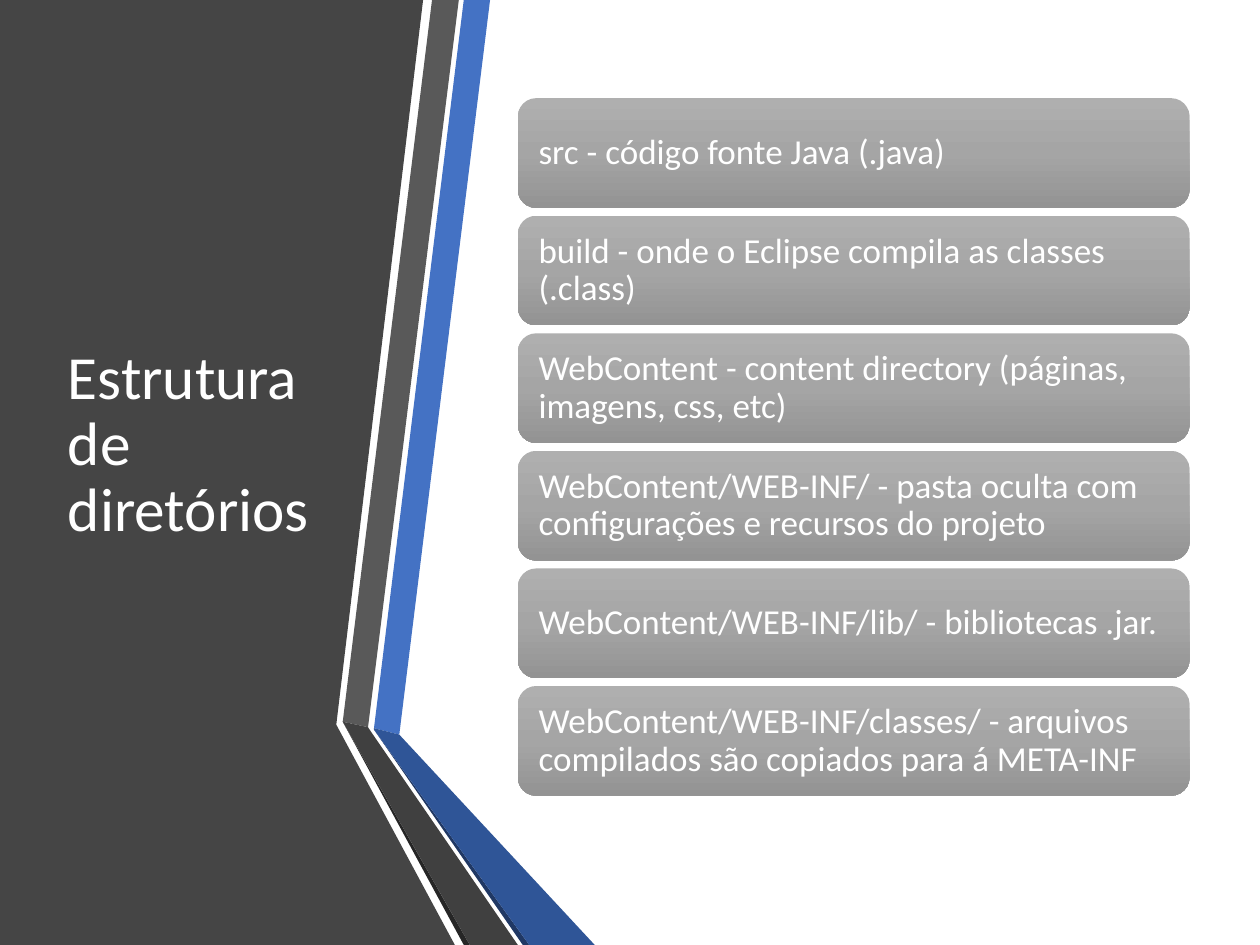
import copy
from dataclasses import dataclass

import pptx
import pptx.dml.color
import pptx.enum.shapes
import pptx.enum.text
import pptx.oxml.ns
import pptx.util

Cm = pptx.util.Cm
WIDTH, HEIGHT = 25.4, 19.05


@dataclass(frozen=True)
class Theme:
    font: str = "Calibri"
    title_size: int = 35
    card_size: int = 20
    text: str = "FFFFFF"
    panel: str = "454545"
    blue: str = "4472C4"
    blue_fold: str = "2F5597"
    blue_edge: str = "203864"
    gray: str = "595959"
    gray_fold: str = "404040"
    gray_edge: str = "262626"
    card_gradient: tuple = ((0, "AFAFAF"), (0.5, "A5A5A5"), (1, "939393"))


THEME = Theme()

# Outlines in centimetres, from back to front
PANEL = (THEME.panel, [(0, 0), (8.53, 0), (6.78, 14.61), (9.17, HEIGHT), (0, HEIGHT)])
RIBBONS = [
    (THEME.blue, [(7.54, 14.68), (8.05, 14.81), (9.88, 0), (9.35, 0)]),
    (THEME.gray, [(9.25, 0), (8.71, 0), (6.91, 14.55), (7.42, 14.66)]),
    (THEME.gray_edge, [(6.91, 14.55), (9.35, HEIGHT), (9.47, HEIGHT)]),
    (THEME.blue_edge, [(7.54, 14.71), (10.54, HEIGHT), (10.67, HEIGHT)]),
    (THEME.blue_fold, [(7.54, 14.68), (7.54, 14.71), (10.67, HEIGHT),
                       (11.99, HEIGHT), (8.05, 14.81)]),
    (THEME.gray_fold, [(10.44, HEIGHT), (7.52, 14.81), (7.42, 14.66),
                       (6.91, 14.55), (9.47, HEIGHT)]),
]

TITLE = "Estrutura de diretórios"
DIRECTORIES = [
    "src - código fonte Java (.java)",
    "build - onde o Eclipse compila as classes (.class)",
    "WebContent - content directory (páginas, imagens, css, etc)",
    "WebContent/WEB-INF/ - pasta oculta com configurações e recursos do projeto",
    "WebContent/WEB-INF/lib/ - bibliotecas .jar.",
    "WebContent/WEB-INF/classes/ - arquivos compilados são copiados para á META-INF",
]
CARD_LEFT, CARD_TOP, CARD_WIDTH, CARD_HEIGHT = 10.44, 1.98, 13.54, 2.21
CARD_PITCH = 2.37


def rgb(value):
    return pptx.dml.color.RGBColor.from_string(value)


def add_outline(shapes, color, points):
    corners = [(Cm(x), Cm(y)) for x, y in points]
    builder = shapes.build_freeform(*corners[0])
    builder.add_line_segments(corners[1:], close=True)
    shape = builder.convert_to_shape()
    shape.shadow.inherit = False
    shape.fill.solid()
    shape.fill.fore_color.rgb = rgb(color)
    shape.line.fill.background()


def write_text(shape, text, size, side_inset):
    frame = shape.text_frame
    frame.word_wrap = True
    frame.vertical_anchor = pptx.enum.text.MSO_ANCHOR.MIDDLE
    frame.margin_left = frame.margin_right = Cm(side_inset)
    paragraph = frame.paragraphs[0]
    paragraph.alignment = pptx.enum.text.PP_ALIGN.LEFT
    paragraph.line_spacing = 0.9
    run = paragraph.add_run()
    run.text = text
    run.font.name = THEME.font
    run.font.size = pptx.util.Pt(size)
    run.font.color.rgb = rgb(THEME.text)


def fill_gradient(shape, gradient):
    fill = shape.fill
    fill.gradient()
    fill.gradient_angle = 270
    # The default gradient has two stops; a middle one is added
    stop_list = next(shape.element.iter(pptx.oxml.ns.qn("a:gsLst")))
    stop_list.insert(1, copy.deepcopy(stop_list[0]))
    for stop, (position, color) in zip(fill.gradient_stops, gradient):
        stop.position = position
        stop.color.rgb = rgb(color)


def add_card(shapes, index, text):
    shape = shapes.add_shape(
        pptx.enum.shapes.MSO_SHAPE.ROUNDED_RECTANGLE,
        Cm(CARD_LEFT), Cm(CARD_TOP + index * CARD_PITCH),
        Cm(CARD_WIDTH), Cm(CARD_HEIGHT))
    shape.shadow.inherit = False
    shape.line.fill.background()
    fill_gradient(shape, THEME.card_gradient)
    write_text(shape, text, THEME.card_size, side_inset=0.31)


def main():
    presentation = pptx.Presentation()
    presentation.slide_width = Cm(WIDTH)
    presentation.slide_height = Cm(HEIGHT)
    slide = presentation.slides.add_slide(presentation.slide_layouts[6])

    # Dark panel and folded ribbons
    add_outline(slide.shapes, *PANEL)
    ribbons = slide.shapes.add_group_shape()
    for color, points in RIBBONS:
        add_outline(ribbons.shapes, color, points)

    # Title
    title = slide.shapes.add_textbox(Cm(1.12), Cm(1.9), Cm(5.79), Cm(14.17))
    write_text(title, TITLE, THEME.title_size, side_inset=0.25)

    # Directory cards
    cards = slide.shapes.add_group_shape()
    for index, text in enumerate(DIRECTORIES):
        add_card(cards.shapes, index, text)

    presentation.save("out.pptx")


if __name__ == "__main__":
    main()
